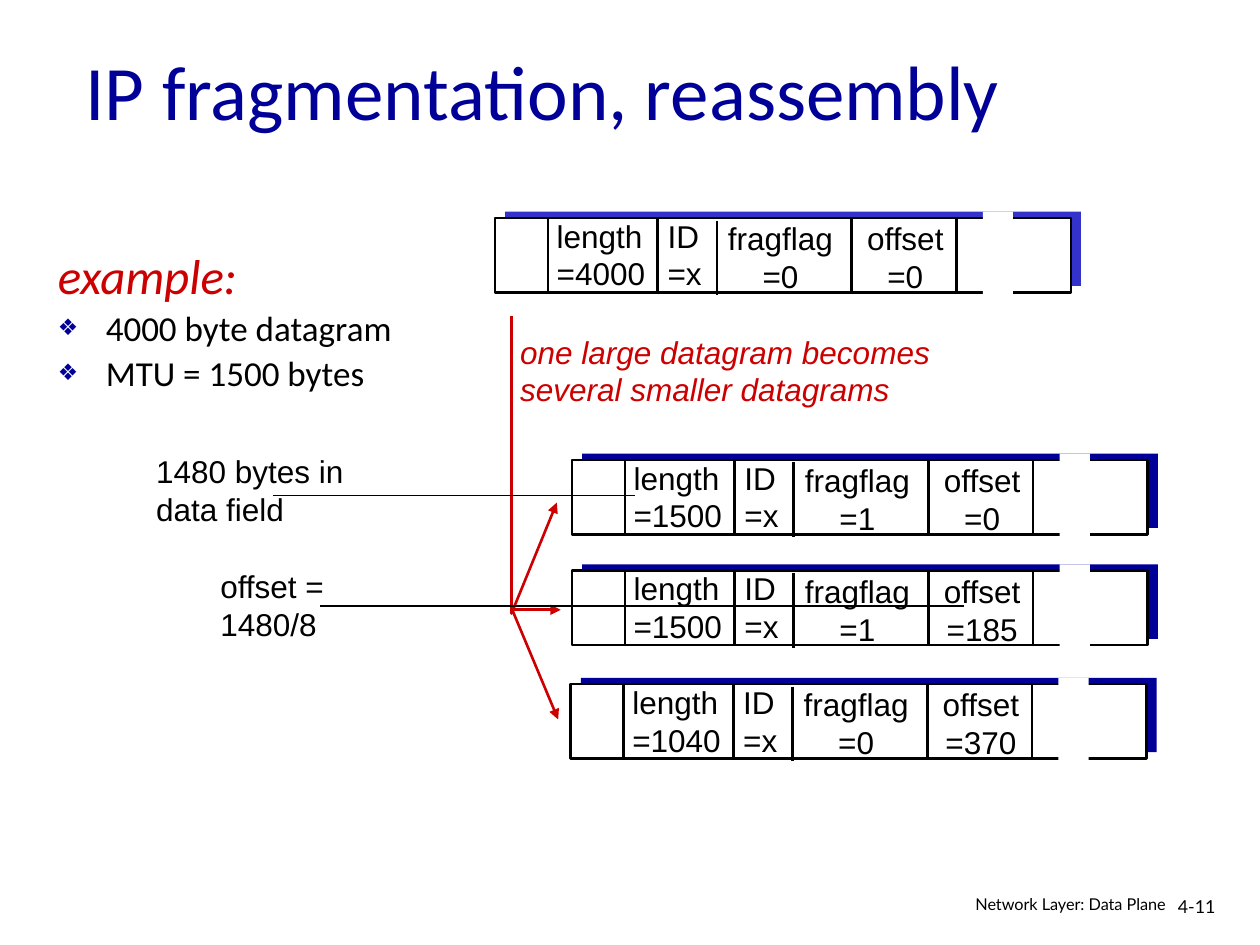
"""Build the slide on IP fragmentation and reassembly."""
from dataclasses import dataclass

from lxml import etree
from pptx import Presentation
from pptx.dml.color import RGBColor
from pptx.enum.shapes import MSO_CONNECTOR, MSO_SHAPE
from pptx.enum.text import MSO_ANCHOR, MSO_AUTO_SIZE, PP_ALIGN
from pptx.oxml.ns import qn
from pptx.util import Inches, Pt

LEFT, CENTER, RIGHT = PP_ALIGN.LEFT, PP_ALIGN.CENTER, PP_ALIGN.RIGHT
STRAIGHT, RECTANGLE = MSO_CONNECTOR.STRAIGHT, MSO_SHAPE.RECTANGLE
FIT_SHAPE, NO_FIT = MSO_AUTO_SIZE.SHAPE_TO_FIT_TEXT, MSO_AUTO_SIZE.NONE
TOP, MIDDLE = MSO_ANCHOR.TOP, MSO_ANCHOR.MIDDLE


@dataclass(frozen=True)
class Theme:
    navy: str = "000099"
    blue: str = "3333CC"
    red: str = "CC0000"
    black: str = "000000"
    white: str = "FFFFFF"
    heading_font: str = "Calibri"
    label_font: str = "Arial"
    footer_font: str = "Lato"
    title_size: float = 44
    lead_size: float = 28
    list_size: float = 20
    label_size: float = 18
    number_size: float = 10.2
    footer_size: float = 9.3
    rule: float = 1.5
    thin_rule: float = 0.75


THEME = Theme()

TITLE = "IP fragmentation, reassembly"
LEAD = "example:"
FACTS = ["4000 byte datagram", "MTU = 1500 bytes"]

DATAGRAMS = [
    (3.93, 1.73, THEME.blue, ("4000", "x", "0", "0")),
    (4.54, 3.65, THEME.navy, ("1500", "x", "1", "0")),
    (4.54, 4.53, THEME.navy, ("1500", "x", "1", "185")),
    (4.53, 5.43, THEME.navy, ("1040", "x", "0", "370")),
]
FIELDS = [
    ("length", 0.39, -0.06, 0.9, LEFT),
    ("ID", 1.27, -0.06, 0.47, LEFT),
    ("fragflag", 1.73, -0.04, 1.07, CENTER),
    ("offset", 2.85, -0.04, 0.81, CENTER),
]
DIVIDERS = [(0.42, 0), (1.29, 0), (1.76, 0.02), (2.83, 0), (3.66, 0)]
BAR_WIDTH, BAR_HEIGHT = 4.57, 0.59
LABEL_HEIGHT = 0.7

NOTES = [
    ("one large datagram becomes\nseveral smaller datagrams", 4.03, 2.59, 3.45, THEME.red, True),
    ("1480 bytes in\vdata field", 1.14, 3.54, 1.75, THEME.black, False),
    ("offset =\n1480/8", 1.65, 4.45, 1.03, THEME.black, False),
]
SPLIT_PATH = [(4.06, 2.51), (4.06, 4.87), (4.42, 3.99)]
SPLIT_ARROWS = [(4.06, 4.84, 4.45, 4.84), (4.07, 4.85, 4.43, 5.71)]
POINTERS = [(2.17, 3.93, 5.04, 3.93), (7.65, 4.81, 2.54, 4.81)]
FOOTERS = [
    ("4-11", (9.25, 7.08, 0.61, 0.3), THEME.number_size, LEFT, 0.9),
    ("Network Layer: Data Plane", (6.97, 7.08, 2.38, 0.26), THEME.footer_size, RIGHT, 0.8),
]


def color(value):
    return RGBColor.from_string(value)


def style(para, font, size, ink, italic=False):
    for span in para.runs:
        span.font.name = font
        span.font.size = Pt(size)
        span.font.color.rgb = color(ink)
        span.font.italic = italic


def place(shape, left, top, width, height):
    shape.left, shape.top = Inches(left), Inches(top)
    shape.width, shape.height = Inches(width), Inches(height)


def add_label(page, text, left, top, width, ink=THEME.black, italic=False, align=LEFT):
    box = page.shapes.add_textbox(Inches(left), Inches(top), Inches(width), Inches(LABEL_HEIGHT))
    frame = box.text_frame
    frame.word_wrap = False
    frame.auto_size = FIT_SHAPE
    frame.text = text
    for para in frame.paragraphs:
        para.alignment = align
        style(para, THEME.label_font, THEME.label_size, ink, italic)


def add_bar(page, left, top, width, height, fill, outlined=False):
    bar = page.shapes.add_shape(RECTANGLE, Inches(left), Inches(top), Inches(width), Inches(height))
    bar.shadow.inherit = False
    bar.fill.solid()
    bar.fill.fore_color.rgb = color(fill)
    if outlined:
        bar.line.color.rgb = color(THEME.black)
        bar.line.width = Pt(THEME.rule)
    else:
        bar.line.fill.background()


def stroke(shape, ink, width, arrow=False):
    shape.line.color.rgb = color(ink)
    shape.line.width = Pt(width)
    if arrow:
        outline = shape.line.fill._xPr
        etree.SubElement(outline, qn("a:tailEnd"), type="triangle")


def add_line(page, ends, ink, width, arrow=False):
    line = page.shapes.add_connector(STRAIGHT, *[Inches(value) for value in ends])
    stroke(line, ink, width, arrow)
    etree.SubElement(line._element.spPr, qn("a:effectLst"))


def add_datagram(page, left, top, shade, values):
    add_bar(page, left + 0.08, top - 0.05, BAR_WIDTH, BAR_HEIGHT, shade)
    add_bar(page, left, top, BAR_WIDTH, BAR_HEIGHT, THEME.white, outlined=True)
    for (name, shift, drop, width, align), value in zip(FIELDS, values):
        add_label(page, f"{name}\n={value}", left + shift, top + drop, width, align=align)
    for shift, drop in DIVIDERS:
        x, y = left + shift, top + drop
        add_line(page, (x, y, x, y + BAR_HEIGHT), THEME.black, THEME.rule)
    add_bar(page, left + 3.87, top - 0.05, 0.24, 0.66, THEME.white)


def add_split(page):
    points = [(Inches(x), Inches(y)) for x, y in SPLIT_PATH]
    builder = page.shapes.build_freeform(*points[0], scale=1.0)
    builder.add_line_segments(points[1:], close=False)
    path = builder.convert_to_shape()
    path.shadow.inherit = False
    path.fill.background()
    stroke(path, THEME.red, THEME.rule, arrow=True)
    for ends in SPLIT_ARROWS:
        add_line(page, ends, THEME.red, THEME.rule, arrow=True)


def set_bullet(para, bulleted):
    props = para._p.get_or_add_pPr()
    props.set("marL", str(Inches(0.38)))
    props.set("indent", str(-Inches(0.38)))
    if not bulleted:
        etree.SubElement(props, qn("a:buNone"))
        return
    tint = etree.SubElement(props, qn("a:buClr"))
    etree.SubElement(tint, qn("a:srgbClr"), val=THEME.navy)
    etree.SubElement(props, qn("a:buSzPct"), val="65000")
    etree.SubElement(props, qn("a:buChar"), char="❖")


def fill_title(page):
    title = page.shapes.title
    place(title, 0.58, 0.2, 8.5, 1.02)
    frame = title.text_frame
    frame.text = TITLE
    frame.auto_size = NO_FIT
    frame.vertical_anchor = MIDDLE
    frame.paragraphs[0].alignment = LEFT
    style(frame.paragraphs[0], THEME.heading_font, THEME.title_size, THEME.navy)


def fill_body(page):
    body = page.placeholders[1]
    place(body, 0.36, 1.97, 3.1, 1.84)
    frame = body.text_frame
    frame.text = "\n".join([LEAD, *FACTS])
    frame.auto_size = NO_FIT
    frame.vertical_anchor = TOP
    for index, para in enumerate(frame.paragraphs):
        set_bullet(para, index > 0)
        para.line_spacing = 0.85
        para.space_before = Pt(5 if index else 0)
        if index:
            style(para, THEME.heading_font, THEME.list_size, THEME.black)
        else:
            style(para, THEME.heading_font, THEME.lead_size, THEME.red, italic=True)


def add_footer(page, text, area, size, align, spacing):
    box = page.shapes.add_textbox(*[Inches(value) for value in area])
    box.text_frame.word_wrap = True
    box.text_frame.text = text
    para = box.text_frame.paragraphs[0]
    para.alignment = align
    para.line_spacing = spacing
    style(para, THEME.footer_font, size, THEME.black)


def main():
    deck = Presentation()
    deck.slide_width, deck.slide_height = Inches(10), Inches(7.5)
    page = deck.slides.add_slide(deck.slide_layouts[1])
    fill_title(page)
    fill_body(page)
    for datagram in DATAGRAMS:
        add_datagram(page, *datagram)
    add_split(page)
    for note in NOTES:
        add_label(page, *note)
    for ends in POINTERS:
        add_line(page, ends, THEME.black, THEME.thin_rule)
    for footer in FOOTERS:
        add_footer(page, *footer)
    deck.save("out.pptx")


if __name__ == "__main__":
    main()
